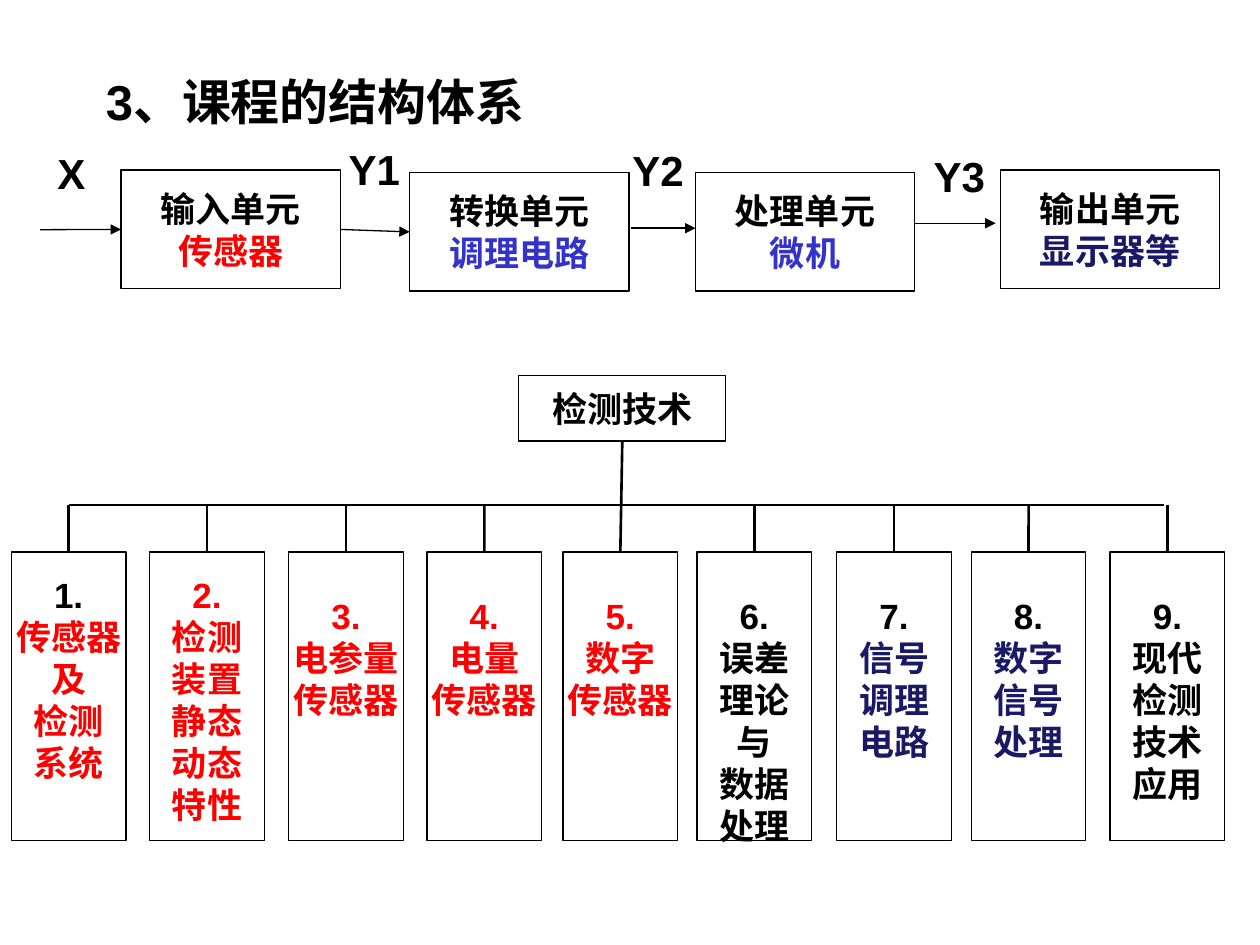
from dataclasses import dataclass

from lxml import etree
from pptx import Presentation
from pptx.dml.color import RGBColor
from pptx.enum.shapes import MSO_CONNECTOR, MSO_SHAPE
from pptx.enum.text import MSO_ANCHOR, MSO_AUTO_SIZE, PP_ALIGN
from pptx.oxml.ns import qn
from pptx.util import Cm, Pt

RECTANGLE = MSO_SHAPE.RECTANGLE
STRAIGHT = MSO_CONNECTOR.STRAIGHT
TOP, MIDDLE = MSO_ANCHOR.TOP, MSO_ANCHOR.MIDDLE
LEFT, CENTER = PP_ALIGN.LEFT, PP_ALIGN.CENTER
NO_AUTOSIZE = MSO_AUTO_SIZE.NONE
SIDE_TOP, SIDE_LEFT, SIDE_BOTTOM, SIDE_RIGHT = range(4)


@dataclass(frozen=True)
class Theme:
    font: str = "Arial"
    black: RGBColor = RGBColor(0x00, 0x00, 0x00)
    red: RGBColor = RGBColor(0xFF, 0x00, 0x00)
    blue: RGBColor = RGBColor(0x33, 0x33, 0xCC)
    navy: RGBColor = RGBColor(0x19, 0x19, 0x66)
    title_size: Pt = Pt(28)
    label_size: Pt = Pt(24)
    box_size: Pt = Pt(20)
    thin: Pt = Pt(0.75)
    thick: Pt = Pt(1.5)


theme = Theme()


def write_lines(shape, lines, size, align, anchor):
    """Fill a shape with bold paragraphs given as (text, color) pairs."""
    frame = shape.text_frame
    frame.auto_size = NO_AUTOSIZE
    frame.word_wrap = False
    frame.vertical_anchor = anchor
    for index, (text, color) in enumerate(lines):
        para = frame.add_paragraph() if index else frame.paragraphs[0]
        para.text = text
        para.alignment = align
        para.font.name = theme.font
        para.font.size = size
        para.font.bold = True
        para.font.color.rgb = color


def draw(kind, left, top, third, fourth, width):
    """Add a box (left, top, width, height) or a line (from, to), in cm."""
    frame = [Cm(value) for value in (left, top, third, fourth)]
    if isinstance(kind, MSO_SHAPE):
        shape = page.shapes.add_shape(kind, *frame)
        shape.fill.background()
        shape.shadow.inherit = False
    else:
        shape = page.shapes.add_connector(kind, *frame)
    shape.line.color.rgb = theme.black
    shape.line.width = width
    if isinstance(kind, MSO_CONNECTOR):
        etree.SubElement(shape._element.spPr, qn("a:effectLst"))
    return shape


deck = Presentation()
deck.slide_width, deck.slide_height = Cm(25.4), Cm(19.05)
page = deck.slides.add_slide(deck.slide_layouts[5])

# Title
title = page.shapes.title
title.left, title.top, title.width, title.height = Cm(1.88), Cm(1.32), Cm(10.21), Cm(1.45)
write_lines(title, [("3、课程的结构体系", theme.black)], theme.title_size, LEFT, TOP)

# Signal chain boxes
units = [
    (2.44, 3.43, "输入单元", "传感器", theme.red),
    (8.26, 3.48, "转换单元", "调理电路", theme.blue),
    (14.02, 3.48, "处理单元", "微机", theme.blue),
    (20.17, 3.43, "输出单元", "显示器等", theme.navy),
]
unit_boxes = []
for left, top, name, device, color in units:
    box = draw(RECTANGLE, left, top, 4.42, 2.39, theme.thin)
    write_lines(box, [(name, theme.black), (device, color)], theme.box_size, CENTER, MIDDLE)
    unit_boxes.append(box)

# Signal arrows
signal_lines = [
    (0.81, 4.63, 2.44, 4.63),
    (6.86, 4.63, 8.26, 4.67),
    (12.73, 4.6, 14.02, 4.6),
    (18.44, 4.5, 20.07, 4.5),
]
arrows = []
for ends in signal_lines:
    arrow = draw(STRAIGHT, *ends, theme.thin)
    outline = arrow.line._get_or_add_ln()
    etree.SubElement(outline, qn("a:tailEnd"), type="triangle")
    arrows.append(arrow)
arrows[0].end_connect(unit_boxes[0], SIDE_LEFT)
arrows[1].begin_connect(unit_boxes[0], SIDE_RIGHT)
arrows[1].end_connect(unit_boxes[1], SIDE_LEFT)

# Signal names
signals = [("X", 0.91, 2.84), ("Y1", 6.78, 2.77), ("Y2", 12.5, 2.79), ("Y3", 18.57, 2.9)]
for name, left, top in signals:
    label = page.shapes.add_textbox(Cm(left), Cm(top), Cm(1.83), Cm(1.27))
    write_lines(label, [(name, theme.black)], theme.label_size, LEFT, TOP)

# Root of the course tree
root = draw(RECTANGLE, 10.46, 7.57, 4.17, 1.32, theme.thin)
write_lines(root, [("检测技术", theme.black)], theme.box_size, CENTER, MIDDLE)

# Chapters: left edge, space above the text, number color, text color, lines
chapters = [
    (0.23, 0.43, theme.black, theme.red, "传感器 及 检测 系统"),
    (3.02, 0.43, theme.red, theme.red, "检测 装置 静态 动态 特性"),
    (5.82, 0.86, theme.red, theme.red, "电参量 传感器"),
    (8.61, 0.86, theme.red, theme.red, "电量 传感器"),
    (11.35, 0.86, theme.red, theme.red, "数字 传感器"),
    (14.05, 0.86, theme.black, theme.black, "误差 理论 与 数据 处理"),
    (16.87, 0.86, theme.black, theme.navy, "信号 调理 电路"),
    (19.58, 0.86, theme.black, theme.navy, "数字 信号 处理"),
    (22.38, 0.86, theme.black, theme.black, "现代 检测 技术 应用"),
]
chapter_width, chapter_top, bus_top = 2.31, 11.13, 10.18
chapter_boxes = []
for number, (left, inset, number_color, color, words) in enumerate(chapters, 1):
    box = draw(RECTANGLE, left, chapter_top, chapter_width, 5.82, theme.thin)
    lines = [(f"{number}.", number_color)] + [(word, color) for word in words.split()]
    write_lines(box, lines, theme.box_size, CENTER, TOP)
    box.text_frame.margin_top = Cm(inset)
    box.text_frame.margin_bottom = 0
    chapter_boxes.append(box)

# Branches: the fifth chapter hangs straight from the root
draw(STRAIGHT, 1.4, bus_top, 23.47, bus_top, theme.thick)
for number, (chapter, box) in enumerate(zip(chapters, chapter_boxes), 1):
    center = chapter[0] + chapter_width / 2
    branch = draw(STRAIGHT, center, bus_top, center, chapter_top, theme.thick)
    if number == 5:
        branch.begin_connect(root, SIDE_BOTTOM)
    branch.end_connect(box, SIDE_TOP)

deck.save("out.pptx")
